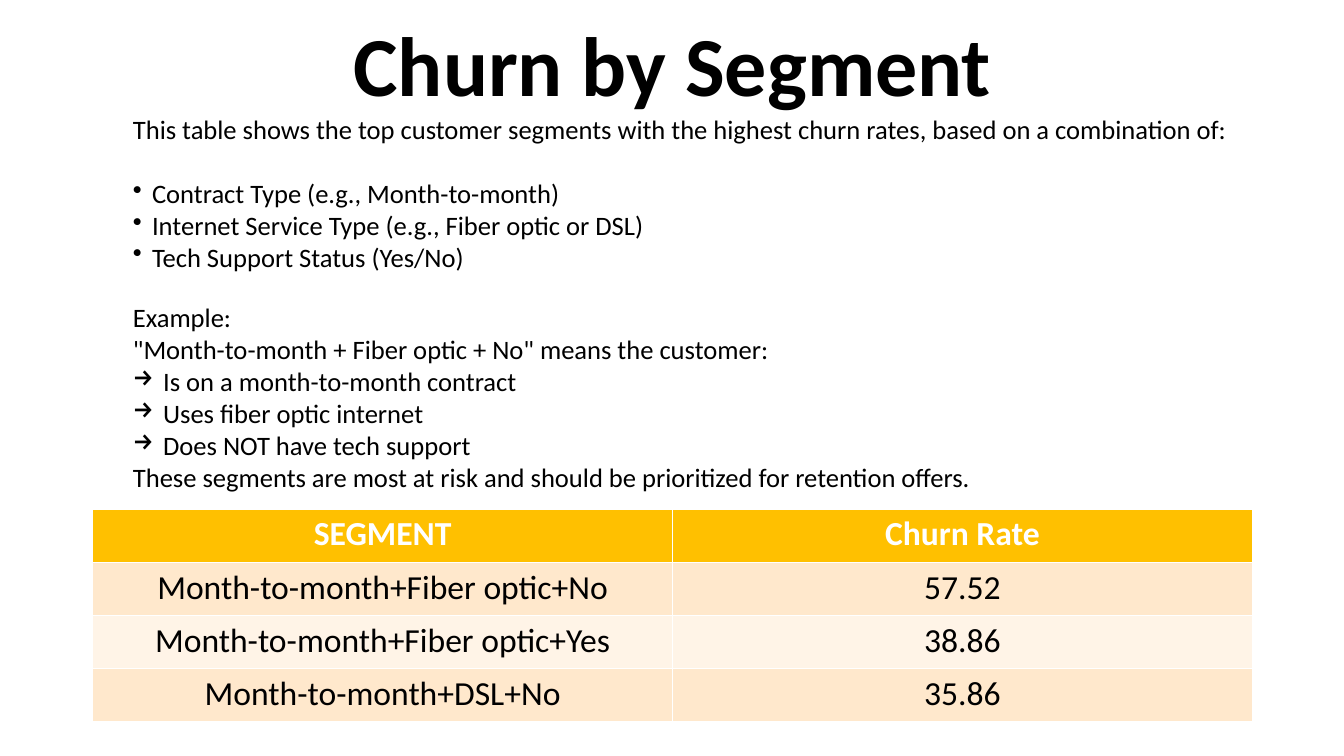
from pptx import Presentation
from pptx.dml.color import RGBColor
from pptx.enum.text import MSO_ANCHOR, MSO_AUTO_SIZE, PP_ALIGN
from pptx.oxml.xmlchemy import OxmlElement
from pptx.util import Inches, Pt

THEME = {
    "font": "Calibri",
    "black": RGBColor.from_string("000000"),
    "white": RGBColor.from_string("FFFFFF"),
    "header": RGBColor.from_string("FFC000"),
    "bands": [RGBColor.from_string("FFF4E7"), RGBColor.from_string("FFE8CC")],
    "title": Pt(60),
    "body": Pt(19),
    "table": Pt(24),
}


def write(p, text, size, color="black", bold=False):
    r = p.add_run()
    r.text = text
    font = {"name": THEME["font"], "size": THEME[size], "bold": bold}
    for name, value in font.items():
        setattr(r.font, name, value)
    r.font.color.rgb = THEME[color]


def add_bullet(p, char, indent):
    pPr = p._p.get_or_add_pPr()
    pPr.set("marL", str(Inches(indent)))
    pPr.set("indent", str(-Inches(indent)))
    bullet = OxmlElement("a:buChar")
    bullet.set("char", char)
    pPr.append(bullet)


prs = Presentation()
prs.slide_width, prs.slide_height = Inches(13.33), Inches(7.5)
s = prs.slides.add_slide(prs.slide_layouts[5])

title = s.shapes.title
place = {"left": 0.92, "top": 0.17, "width": 11.5, "height": 1.03}
for name, value in place.items():
    setattr(title, name, Inches(value))
tf = title.text_frame
tf.auto_size = MSO_AUTO_SIZE.NONE
tf.vertical_anchor = MSO_ANCHOR.MIDDLE
p = tf.paragraphs[0]
p.alignment = PP_ALIGN.CENTER
p.line_spacing = 0.9
write(p, "Churn by Segment", "title", bold=True)

rows = [
    ("SEGMENT", "Churn Rate"),
    ("Month-to-month+Fiber optic+No", "57.52"),
    ("Month-to-month+Fiber optic+Yes", "38.86"),
    ("Month-to-month+DSL+No", "35.86"),
]
table = s.shapes.add_table(
    len(rows), 2, Inches(0.92), Inches(5.05), Inches(11.5), Inches(2.11)
).table
for i, row in enumerate(rows):
    header = i == 0
    for j, text in enumerate(row):
        cell = table.cell(i, j)
        cell.fill.solid()
        cell.fill.fore_color.rgb = THEME["header"] if header else THEME["bands"][i % 2]
        p = cell.text_frame.paragraphs[0]
        p.alignment = PP_ALIGN.CENTER
        write(p, text, "table", "white" if header else "black", header)

indents = {"•": 0.19, "→": 0.3}
lines = [
    ("", "This table shows the top customer segments with the highest churn rates, based on a combination of:", 0),
    ("•", "Contract Type (e.g., Month-to-month)", 23),
    ("•", "Internet Service Type (e.g., Fiber optic or DSL)", 0),
    ("•", "Tech Support Status (Yes/No)", 0),
    ("", "Example:", 20.5),
    ("", '"Month-to-month + Fiber optic + No" means the customer:', 0),
    ("→", "Is on a month-to-month contract", 0),
    ("→", "Uses fiber optic internet", 0),
    ("→", "Does NOT have tech support", 0),
    ("", "These segments are most at risk and should be prioritized for retention offers.", 0),
]
tf = s.shapes.add_textbox(Inches(1.22), Inches(1.07), Inches(11.1), Inches(3.9)).text_frame
tf.word_wrap = True
tf.auto_size = MSO_AUTO_SIZE.SHAPE_TO_FIT_TEXT
for i, (char, text, gap) in enumerate(lines):
    p = tf.add_paragraph() if i else tf.paragraphs[0]
    p.space_before = Pt(gap)
    if char:
        add_bullet(p, char, indents[char])
    write(p, text, "body")

prs.save("out.pptx")
